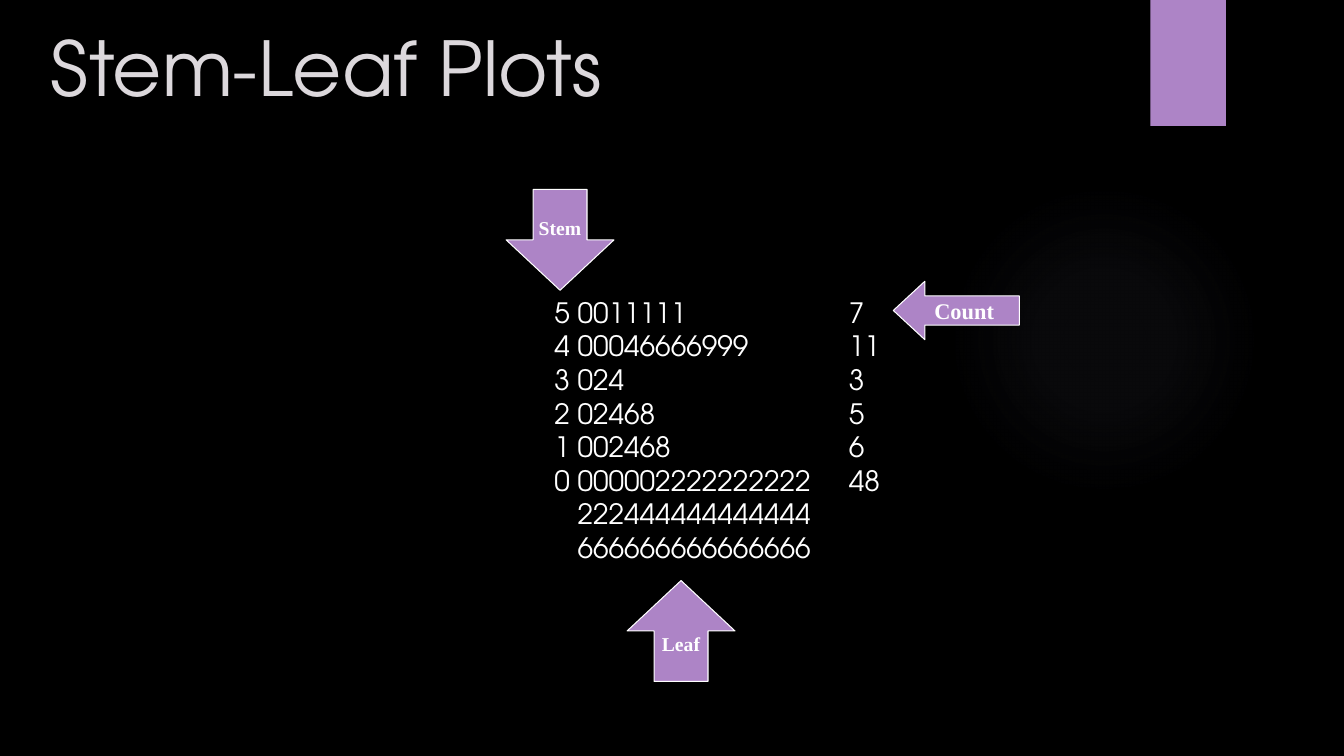
from dataclasses import dataclass

from pptx import Presentation
from pptx.dml.color import RGBColor
from pptx.enum.shapes import MSO_SHAPE
from pptx.enum.text import MSO_ANCHOR, PP_ALIGN
from pptx.oxml import parse_xml
from pptx.oxml.ns import nsdecls, qn
from pptx.shapes.autoshape import Shape
from pptx.slide import Slide
from pptx.text.text import TextFrame
from pptx.util import Inches, Pt

BLACK = RGBColor(0x00, 0x00, 0x00)
WHITE = RGBColor(0xFF, 0xFF, 0xFF)
PALE = RGBColor(0xDC, 0xD8, 0xDC)
MAUVE = RGBColor(0xAD, 0x84, 0xC6)
HAZE = RGBColor(0x7F, 0x7B, 0x9A)
SANS = "TeX Gyre Adventor"
SERIF = "Times New Roman"

Box = tuple[float, float, float, float]


@dataclass
class Arrow:
    label: str
    kind: MSO_SHAPE
    box: Box
    size: int
    head: float = 0.5


@dataclass
class Row:
    stem: str
    leaf: str
    count: str = ""


ARROWS = [
    Arrow("Count", MSO_SHAPE.LEFT_ARROW, (8.86, 2.79, 1.25, 0.58), 16, 0.54),
    Arrow("Stem", MSO_SHAPE.DOWN_ARROW, (5.02, 1.88, 1.07, 1), 14),
    Arrow("Leaf", MSO_SHAPE.UP_ARROW, (6.22, 5.76, 1.07, 1), 14),
]
ROWS = [
    Row("5", "0011111", "7"),
    Row("4", "00046666999", "11"),
    Row("3", "024", "3"),
    Row("2", "02468", "5"),
    Row("1", "002468", "6"),
    Row("0", "000002222222222", "48"),
    Row("", "222444444444444"),
    Row("", "666666666666666"),
]
STOPS = (2.07, 2.3, 4.99)  # stem, leaf and count columns
GLOW = ((0, 7), (36, 6), (69, 0))  # position and opacity in percent


def write(frame: TextFrame, lines: list[str], *, size: int, font: str,
          color: RGBColor = WHITE, bold: bool = False,
          align: PP_ALIGN = PP_ALIGN.LEFT,
          anchor: MSO_ANCHOR = MSO_ANCHOR.TOP, wrap: bool = True) -> None:
    frame.word_wrap = wrap
    frame.vertical_anchor = anchor
    frame.text = "\n".join(lines)
    for para in frame.paragraphs:
        para.alignment = align
        for run in para.runs:
            run.font.size = Pt(size)
            run.font.name = font
            run.font.bold = bold
            run.font.color.rgb = color


def add_shape(slide: Slide, kind: MSO_SHAPE, box: Box) -> Shape:
    """Add a mauve shape with neither line nor shadow."""
    shape = slide.shapes.add_shape(kind, *map(Inches, box))
    shape.shadow.inherit = False
    shape.fill.solid()
    shape.fill.fore_color.rgb = MAUVE
    shape.line.fill.background()
    return shape


def add_glow(slide: Slide) -> None:
    glow = add_shape(slide, MSO_SHAPE.OVAL, (9.41, 1.83, 3.08, 3.08))
    stops = "".join(
        f'<a:gs pos="{pos * 1000}"><a:srgbClr val="{HAZE}">'
        f'<a:alpha val="{alpha * 1000}"/></a:srgbClr></a:gs>'
        for pos, alpha in GLOW)
    fill = parse_xml(
        f'<a:gradFill {nsdecls("a")}><a:gsLst>{stops}</a:gsLst>'
        '<a:path path="circle"><a:fillToRect l="50000" t="50000" '
        'r="50000" b="50000"/></a:path></a:gradFill>')
    props = glow.element.spPr
    props.replace(props.find(qn("a:solidFill")), fill)


def add_arrow(slide: Slide, arrow: Arrow) -> None:
    shape = add_shape(slide, arrow.kind, arrow.box)
    shape.adjustments[1] = arrow.head
    shape.line.color.rgb = WHITE
    shape.line.width = Pt(0.75)
    write(shape.text_frame, [arrow.label], size=arrow.size, font=SERIF,
          bold=True, align=PP_ALIGN.CENTER, anchor=MSO_ANCHOR.MIDDLE,
          wrap=False)


def add_plot(slide: Slide) -> None:
    """Add the stem-leaf rows, set in columns by tab stops."""
    box = slide.shapes.add_textbox(*map(Inches, (3.33, 2.88, 5.53, 2.79)))
    lines = [f"\t{row.stem}\t{row.leaf}\t{row.count}".rstrip() for row in ROWS]
    write(box.text_frame, lines, size=20, font=SANS)
    tabs = "".join(f'<a:tab pos="{Inches(stop)}" algn="l"/>' for stop in STOPS)
    for para in box.text_frame.paragraphs:
        para._p.get_or_add_pPr().append(
            parse_xml(f'<a:tabLst {nsdecls("a")}>{tabs}</a:tabLst>'))


def main() -> None:
    deck = Presentation()
    deck.slide_width, deck.slide_height = Inches(13.33), Inches(7.5)
    slide = deck.slides.add_slide(deck.slide_layouts[5])
    slide.background.fill.solid()
    slide.background.fill.fore_color.rgb = BLACK

    add_glow(slide)
    add_shape(slide, MSO_SHAPE.RECTANGLE, (11.41, 0, 0.75, 1.25))

    title = slide.shapes.title
    title.left, title.top, title.width, title.height = map(
        Inches, (0.4, 0.16, 11.38, 1))
    write(title.text_frame, ["Stem-Leaf Plots"], size=54, font=SANS,
          color=PALE, anchor=MSO_ANCHOR.MIDDLE)

    add_plot(slide)
    for arrow in ARROWS:
        add_arrow(slide, arrow)
    deck.save("out.pptx")


if __name__ == "__main__":
    main()
